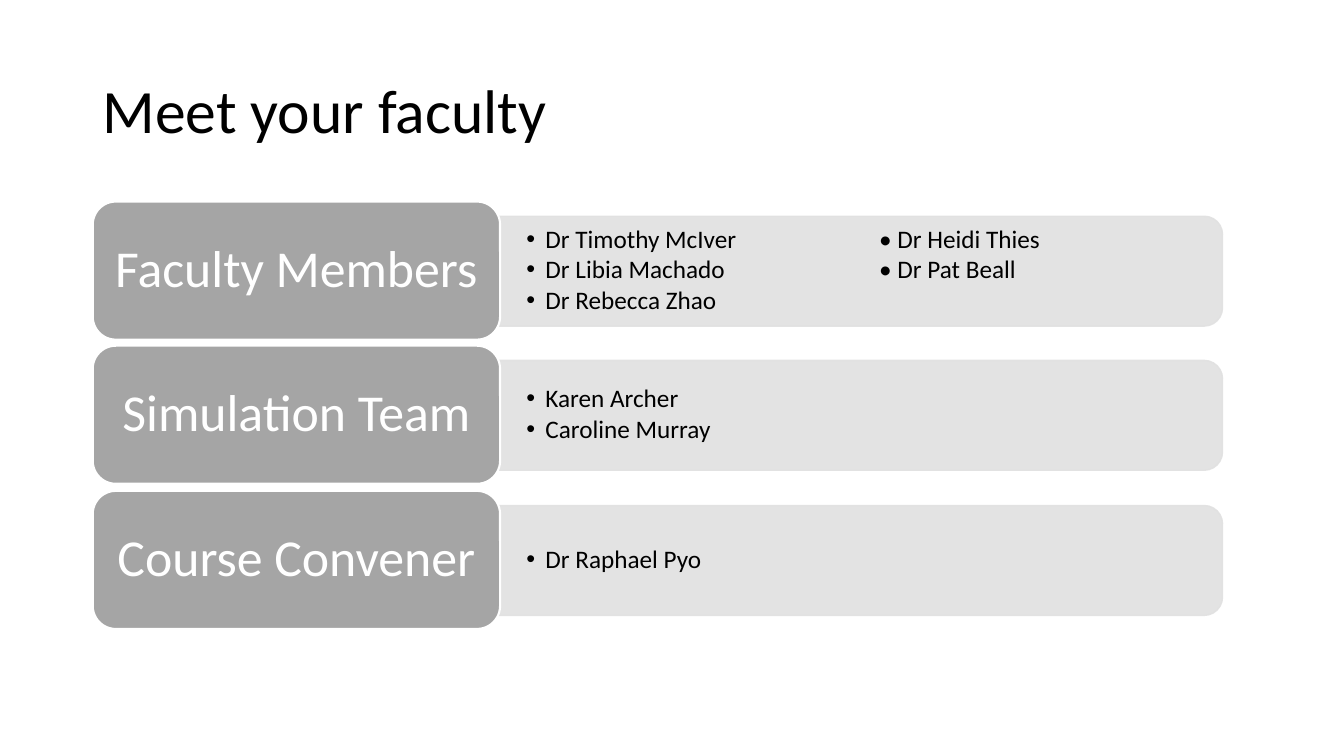
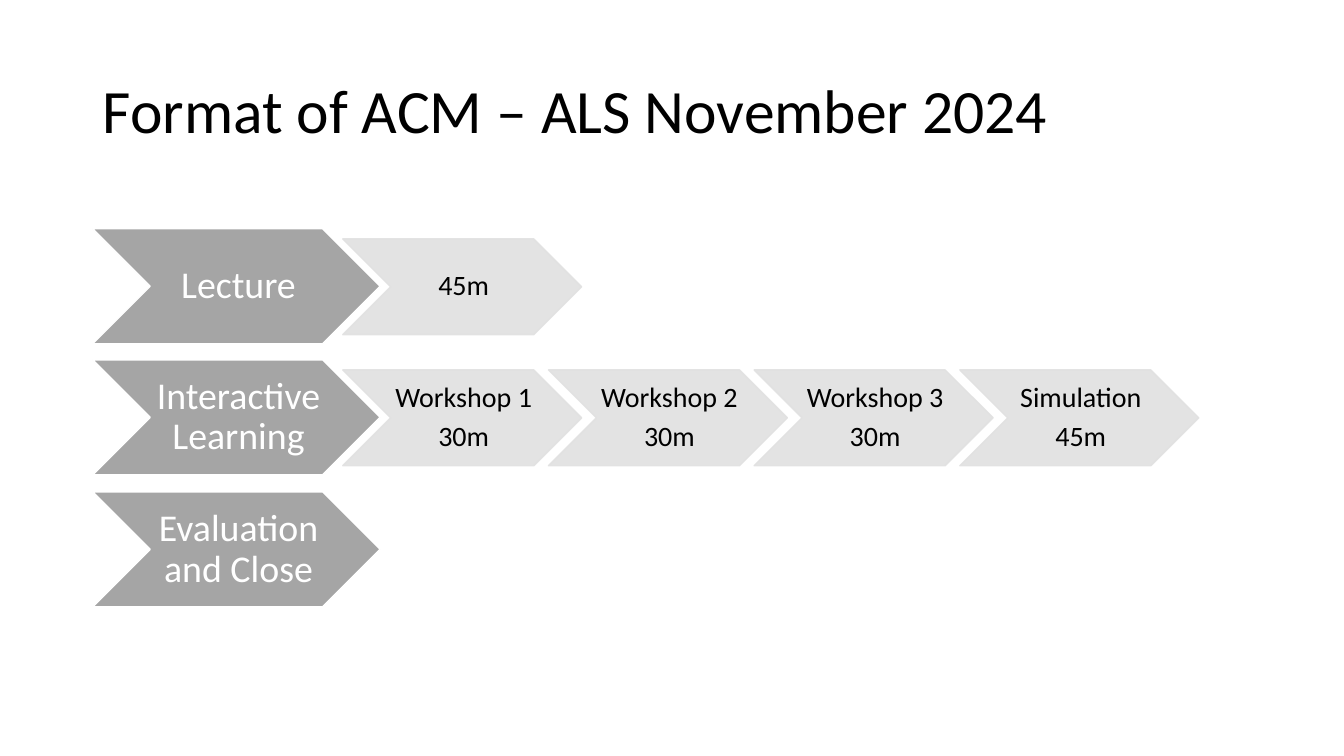
from dataclasses import dataclass

import pptx
import pptx.dml.color
import pptx.enum.shapes
import pptx.enum.text
import pptx.oxml
import pptx.oxml.ns
import pptx.util

SHAPE = pptx.enum.shapes.MSO_SHAPE
ALIGN = pptx.enum.text.PP_ALIGN
EMU_PER_PX = 9144  # 100 px to the inch


@dataclass(frozen=True)
class Theme:
    font: str = "Calibri"
    black: str = "000000"
    white: str = "FFFFFF"
    dark: str = "A5A5A5"
    light: str = "E1E1E1"
    light_opacity: int = 90
    title_size: int = 44
    group_size: int = 37
    member_size: int = 18
    stage_size: int = 27
    step_size: int = 20
    line_spacing: float = 0.9


THEME = Theme()

FACULTY = [
    ("Faculty Members", ["Dr Timothy McIver\t• Dr Heidi Thies",
                         "Dr Libia Machado\t• Dr Pat Beall",
                         "Dr Rebecca Zhao"]),
    ("Simulation Team", ["Karen Archer", "Caroline Murray"]),
    ("Course Convener", ["Dr Raphael Pyo"]),
]

STAGES = [
    ("Lecture", [["45m"]]),
    ("Interactive Learning", [["Workshop 1", "30m"], ["Workshop 2", "30m"],
                              ["Workshop 3", "30m"], ["Simulation", "45m"]]),
    ("Evaluation and Close", []),
]


def px(length):
    return pptx.util.Emu(length * EMU_PER_PX)


def rgb(color):
    return pptx.dml.color.RGBColor.from_string(color)


def set_opacity(shape, percent):
    """Apply one opacity to the fill and the outline."""
    properties = shape.fill._xPr
    for color in properties.iter(pptx.oxml.ns.qn("a:srgbClr")):
        alpha = pptx.oxml.parse_xml(
            f'<a:alpha {pptx.oxml.ns.nsdecls("a")} val="{percent * 1000}"/>')
        color.append(alpha)


def add_block(page, kind, bounds, fill, line, line_width):
    shape = page.shapes.add_shape(kind, *map(px, bounds))
    shape.shadow.inherit = False
    shape.fill.solid()
    shape.fill.fore_color.rgb = rgb(fill)
    shape.line.color.rgb = rgb(line)
    shape.line.width = pptx.util.Pt(line_width)
    if fill == THEME.light:
        set_opacity(shape, THEME.light_opacity)
    return shape


def write(shape, lines, size, color, insets, align=ALIGN.CENTER, space_after=0):
    """Fill a shape with paragraphs; insets are left, top, right, bottom."""
    frame = shape.text_frame
    frame.word_wrap = True
    frame.vertical_anchor = pptx.enum.text.MSO_ANCHOR.MIDDLE
    (frame.margin_left, frame.margin_top,
     frame.margin_right, frame.margin_bottom) = map(px, insets)
    frame.text = "\n".join(lines)
    for para in frame.paragraphs:
        para.alignment = align
        para.line_spacing = THEME.line_spacing
        para.space_after = pptx.util.Pt(space_after)
        para.font.name = THEME.font
        para.font.size = pptx.util.Pt(size)
        para.font.color.rgb = rgb(color)


def add_bullets(box, indent, tab):
    for para in box.text_frame.paragraphs:
        properties = para._p.get_or_add_pPr()
        properties.set("marL", str(px(indent)))
        properties.set("indent", str(-px(indent)))
        properties.set("defTabSz", str(px(tab)))
        for bullet in ('buFont {} typeface="Arial"', 'buChar {} char="•"'):
            properties.append(pptx.oxml.parse_xml(
                f'<a:{bullet.format(pptx.oxml.ns.nsdecls("a"))}/>'))


def add_page(deck, title):
    page = deck.slides.add_slide(deck.slide_layouts[6])
    box = page.shapes.add_textbox(*map(px, (92, 40, 1150, 145)))
    write(box, [title], THEME.title_size, THEME.black, (10, 5, 10, 5), ALIGN.LEFT)
    return page


def add_group_row(page, top, group, members):
    panel_left, panel_top, length, depth = 495, top + 14, 718, 109
    turned_bounds = (panel_left + (length - depth) // 2,
                     panel_top - (length - depth) // 2, depth, length)
    panel = add_block(page, SHAPE.ROUND_2_SAME_RECTANGLE, turned_bounds,
                      THEME.light, THEME.light, 1)
    panel.rotation = 90

    box = page.shapes.add_textbox(*map(px, (panel_left, top + 19, 712, 99)))
    write(box, members, THEME.member_size, THEME.black, (27, 14, 27, 14),
          ALIGN.LEFT, space_after=2.4)
    add_bullets(box, indent=19, tab=350)

    label = add_block(page, SHAPE.ROUNDED_RECTANGLE, (92, top, 404, 137),
                      THEME.dark, THEME.white, 1.5)
    write(label, [group], THEME.group_size, THEME.white, (15, 8, 15, 8))


def add_stage_row(page, top, stage, steps):
    label = add_block(page, SHAPE.CHEVRON, (92, top, 285, 114),
                      THEME.dark, THEME.white, 1)
    write(label, [stage], THEME.stage_size, THEME.white, (4, 2, 0, 2))
    for index, lines in enumerate(steps):
        step = add_block(page, SHAPE.CHEVRON, (340 + 204 * index, top + 10, 237, 95),
                         THEME.light, THEME.light, 1)
        write(step, lines, THEME.step_size, THEME.black, (3, 1, 0, 1), space_after=6.6)


def add_rows(page, rows, add_row, first_top, last_top):
    """Spread the rows evenly from the first top to the last."""
    for index, (heading, details) in enumerate(rows):
        top = first_top + (last_top - first_top) * index // (len(rows) - 1)
        add_row(page, top, heading, details)


def main():
    deck = pptx.Presentation()
    deck.slide_width, deck.slide_height = px(1333), px(750)
    add_rows(add_page(deck, "Meet your faculty"), FACULTY, add_group_row, 200, 487)
    add_rows(add_page(deck, "Format of ACM – ALS November 2024"), STAGES,
             add_stage_row, 227, 488)
    deck.save("out.pptx")


if __name__ == "__main__":
    main()
